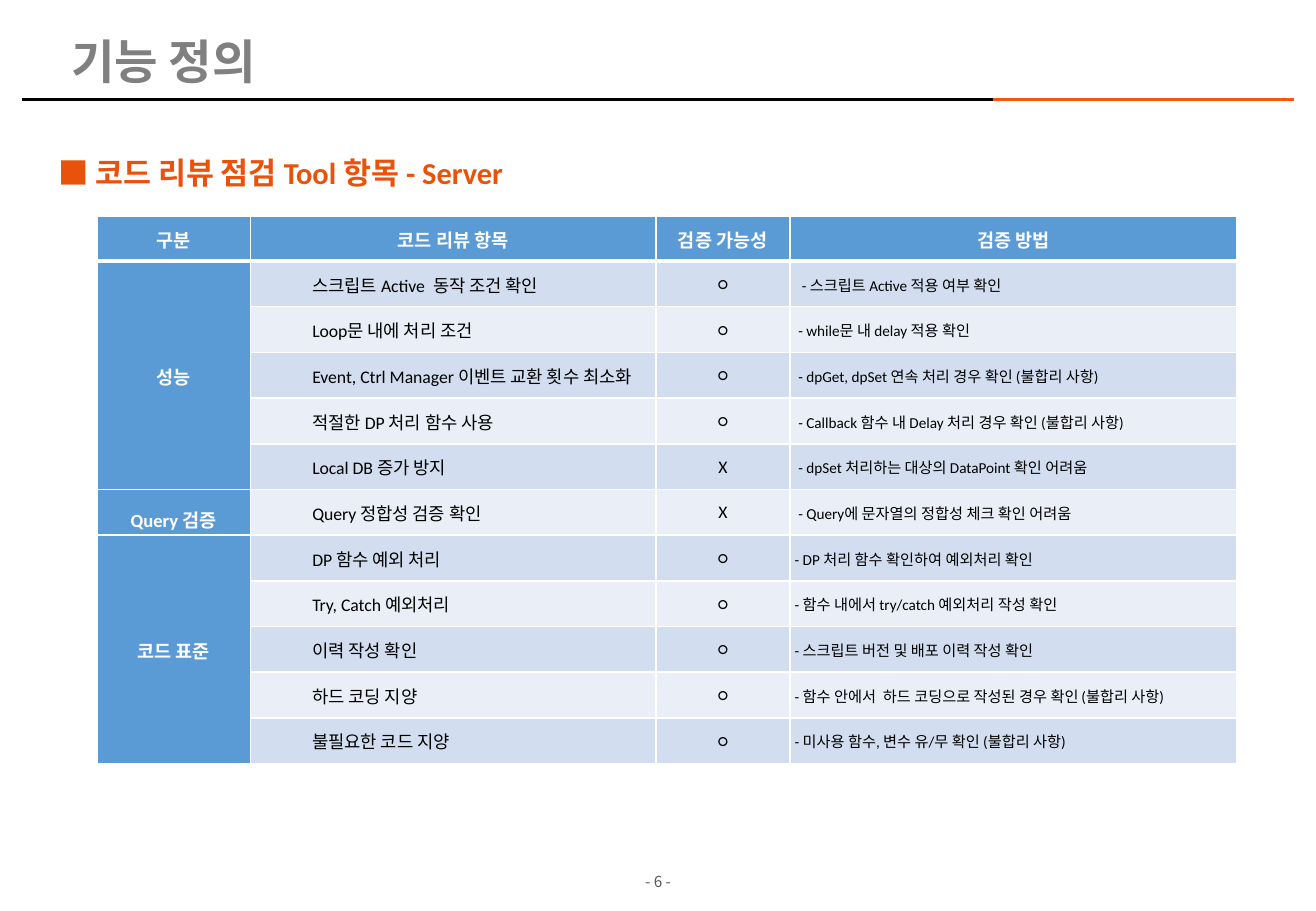
from dataclasses import dataclass

from pptx import Presentation
from pptx.dml.color import RGBColor
from pptx.enum.shapes import MSO_CONNECTOR
from pptx.enum.text import MSO_ANCHOR, PP_ALIGN
from pptx.oxml import parse_xml
from pptx.oxml.ns import nsdecls, qn
from pptx.util import Inches, Pt
from lxml.etree import SubElement


@dataclass(frozen=True)
class Theme:
    black: str = "000000"
    white: str = "FFFFFF"
    gray: str = "808080"
    page: str = "595959"
    orange: str = "E9520B"
    rule: str = "F45A06"
    blue: str = "5B9BD5"
    bands: tuple = ("D2DEEF", "EAEFF7")
    body: str = "Calibri"
    head: str = "Arial"
    foot: str = "Noto Sans CJK KR"
    title: float = 28
    topic: float = 18
    label: float = 11
    item: float = 10.5
    note: float = 9


THEME = Theme()

HEADS = ["구분", "코드 리뷰 항목", "검증 가능성", "검증 방법"]
WIDTHS = [1.26, 3.34, 1.1, 3.68]
HEAD_HIGH, ROW_HIGH = 0.37, 0.376

# Each group: label, line spacing, rows of (item, mark, method, indent step)
GROUPS = [
    ("성능", 1, [
        ("스크립트 Active  동작 조건 확인", "○", "- 스크립트 Active 적용 여부 확인", 3),
        ("Loop문 내에 처리 조건", "○", "- while문 내 delay 적용 확인", 2),
        ("Event, Ctrl Manager 이벤트 교환 횟수 최소화", "○",
         "- dpGet, dpSet 연속 처리 경우 확인 (불합리 사항)", 2),
        ("적절한 DP 처리 함수 사용", "○",
         "- Callback 함수 내 Delay 처리 경우 확인 (불합리 사항)", 2),
        ("Local DB 증가 방지", "X",
         "- dpSet 처리하는 대상의 DataPoint 확인 어려움", 2),
    ]),
    ("Query 검증", 1.5, [
        ("Query 정합성 검증 확인", "X",
         "- Query에 문자열의 정합성 체크 확인 어려움", 2),
    ]),
    ("코드 표준", 1, [
        ("DP 함수 예외 처리", "○", "- DP 처리 함수 확인하여 예외처리 확인", 1),
        ("Try, Catch 예외처리", "○",
         "- 함수 내에서 try/catch 예외처리 작성 확인", 1),
        ("이력 작성 확인", "○", "- 스크립트 버전 및 배포 이력 작성 확인", 1),
        ("하드 코딩 지양", "○",
         "- 함수 안에서  하드 코딩으로 작성된 경우 확인 (불합리 사항)", 1),
        ("불필요한 코드 지양", "○",
         "- 미사용 함수, 변수 유/무 확인 (불합리 사항)", 1),
    ]),
]


def write(frame, text, size, color, font=THEME.body, bold=False,
          align=PP_ALIGN.LEFT, space=1.0):
    para = frame.paragraphs[0]
    para.alignment = align
    para.line_spacing = space
    run = para.add_run()
    run.text = text
    run.font.size = Pt(size)
    run.font.name = font
    run.font.bold = bold
    run.font.color.rgb = RGBColor.from_string(color)


def add_text(slide, box, text, size, color, anchor=MSO_ANCHOR.TOP, **style):
    frame = slide.shapes.add_textbox(*map(Inches, box)).text_frame
    frame.word_wrap = True
    frame.vertical_anchor = anchor
    write(frame, text, size, color, **style)


def add_rule(slide, start, end, color):
    y = Inches(0.82)
    line = slide.shapes.add_connector(
        MSO_CONNECTOR.STRAIGHT, Inches(start), y, Inches(end), y)
    line.line.color.rgb = RGBColor.from_string(color)
    line.line.width = Pt(2.25)
    SubElement(line._element.spPr, qn("a:effectLst"))


def set_edges(cell, top=1, bottom=1):
    """Draw white borders, with widths in points, ahead of the cell fill."""
    props = cell._tc.get_or_add_tcPr()
    edges = [("lnL", 1), ("lnR", 1), ("lnT", top), ("lnB", bottom)]
    for place, (tag, width) in enumerate(edges):
        props.insert(place, parse_xml(
            f'<a:{tag} {nsdecls("a")} w="{Pt(width)}"><a:solidFill>'
            f'<a:srgbClr val="{THEME.white}"/></a:solidFill></a:{tag}>'))


def style_cell(cell, fill, left=0.01, **edges):
    cell.fill.solid()
    cell.fill.fore_color.rgb = RGBColor.from_string(fill)
    cell.vertical_anchor = MSO_ANCHOR.MIDDLE
    cell.margin_left = Inches(left)
    cell.margin_right = cell.margin_top = Inches(0.01)
    cell.margin_bottom = 0
    set_edges(cell, **edges)


def write_label(cell, text, space=1.0):
    write(cell.text_frame, text, THEME.label, THEME.white, bold=True,
          align=PP_ALIGN.CENTER, space=space)


def fill_row(cells, entry, band, top):
    item, mark, method, step = entry
    style_cell(cells[0], THEME.blue, top=top)
    columns = [
        (item, THEME.item, PP_ALIGN.LEFT, 0.51),
        (mark, THEME.item, PP_ALIGN.CENTER, 0.01),
        (method, THEME.note, PP_ALIGN.LEFT, 0.01 + 0.03 * step),
    ]
    for cell, (text, size, align, left) in zip(cells[1:], columns):
        style_cell(cell, band, left, top=top)
        write(cell.text_frame, text, size, THEME.black, align=align)


def add_review(slide):
    count = 1 + sum(len(rows) for _, _, rows in GROUPS)
    high = HEAD_HIGH + ROW_HIGH * (count - 1)
    table = slide.shapes.add_table(
        count, len(HEADS), Inches(0.8), Inches(1.78),
        Inches(sum(WIDTHS)), Inches(high)).table
    for column, width in zip(table.columns, WIDTHS):
        column.width = Inches(width)
    for index, row in enumerate(table.rows):
        row.height = Inches(ROW_HIGH if index else HEAD_HIGH)
    for index, text in enumerate(HEADS):
        cell = table.cell(0, index)
        style_cell(cell, THEME.blue, bottom=3)
        write_label(cell, text)

    line = 1
    for label, space, rows in GROUPS:
        first = line
        for entry in rows:
            cells = [table.cell(line, col) for col in range(len(HEADS))]
            fill_row(cells, entry, THEME.bands[(line - 1) % 2],
                     top=3 if line == 1 else 1)
            line += 1
        if len(rows) > 1:
            table.cell(first, 0).merge(table.cell(line - 1, 0))
        write_label(table.cell(first, 0), label, space)


def main():
    deck = Presentation()
    deck.slide_width, deck.slide_height = Inches(10.83), Inches(7.5)
    slide = deck.slides.add_slide(deck.slide_layouts[6])
    add_text(slide, (5.02, 7.13, 0.79, 0.28), "- 6 -", THEME.note,
             THEME.page, font=THEME.foot, align=PP_ALIGN.CENTER)
    add_rule(slide, 0.18, 10.02, THEME.black)
    add_rule(slide, 8.17, 10.65, THEME.rule)
    add_text(slide, (0.38, 1.07, 10.22, 0.56),
             "■ 코드 리뷰 점검 Tool 항목 - Server", THEME.topic,
             THEME.orange, bold=True, space=1.5)
    add_text(slide, (0.49, 0.25, 7.5, 0.55), "기능 정의", THEME.title,
             THEME.gray, MSO_ANCHOR.MIDDLE, font=THEME.head, bold=True,
             space=0.9)
    add_review(slide)
    deck.save("out.pptx")


if __name__ == "__main__":
    main()
